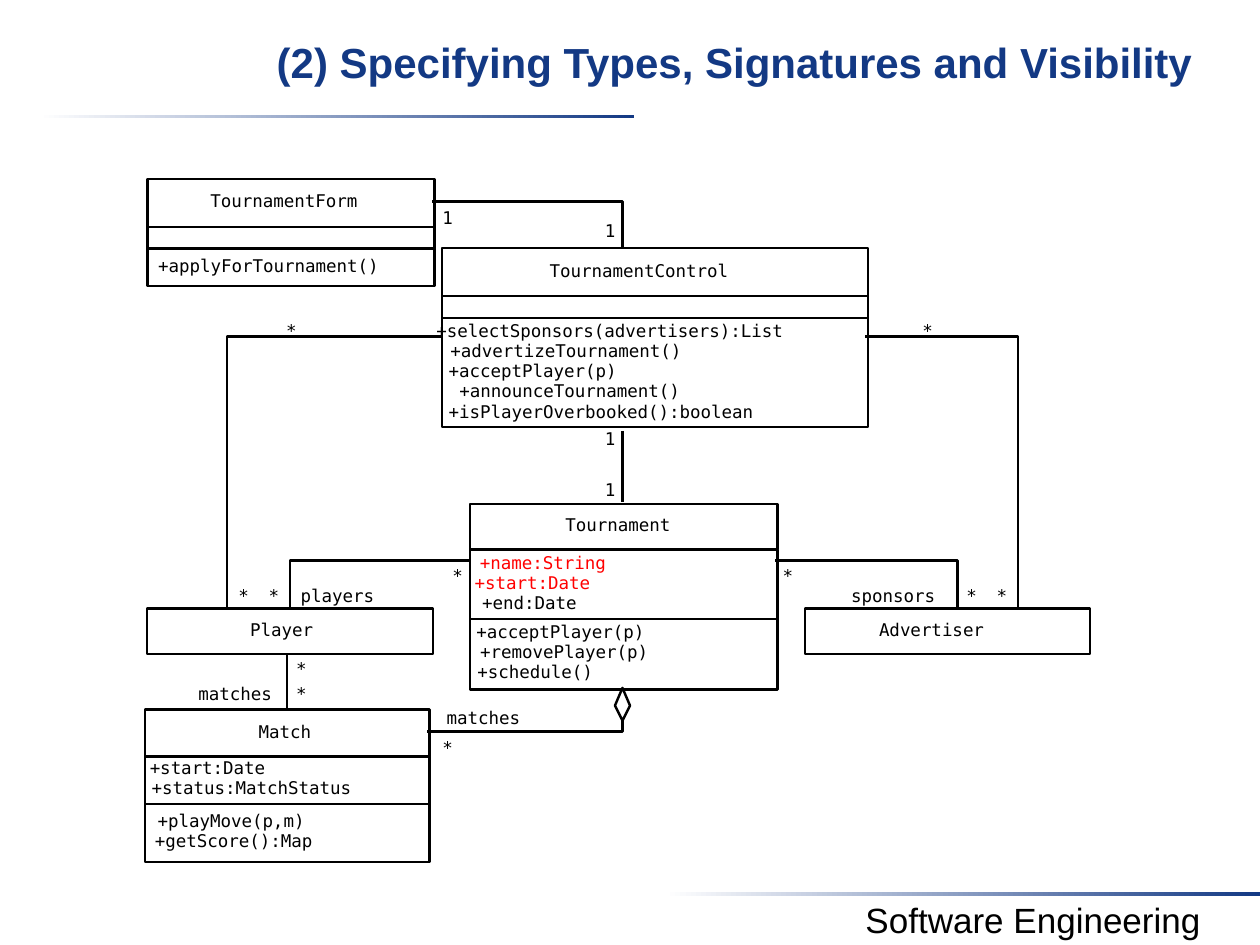
"""Builds a UML class diagram slide showing types, signatures and visibility."""
from itertools import accumulate
from lxml.etree import SubElement
from pptx import Presentation
from pptx.dml.color import RGBColor
from pptx.enum.shapes import MSO_CONNECTOR, MSO_SHAPE
from pptx.enum.text import MSO_ANCHOR, MSO_AUTO_SIZE, PP_ALIGN
from pptx.oxml.ns import qn
from pptx.util import Pt

COLORS = {"ink": "000000", "new": "FF0000", "navy": "133984", "paper": "FFFFFF"}
SANS, MONO = "Arial", "DejaVu Sans Mono"
CHAR_WIDTH, LINE_HEIGHT, LINE_STEP, STROKE = 6.1, 12.2, 11.5, 1.38

TITLE = "(2) Specifying Types, Signatures and Visibility"
FOOTER = "Software Engineering"
BARS = [(22.3, 65.5), (380.2, 509.8)]
BAR_SIZE = (339.8, 2.2)

# Each compartment: height, offset of its first line, lines as (text, left, color).
CLASSES = {
    "TournamentForm": (84.2, 102.2, 164.2, [
        (27.4, 6.5, [("TournamentForm", 119.5, "ink")]),
        (12.4, 0, []),
        (21.6, 3.6, [("+applyForTournament()", 89.3, "ink")])]),
    "TournamentControl": (252.7, 141.8, 243.4, [
        (27.4, 6.5, [("TournamentControl", 313.2, "ink")]),
        (12.4, 0, []),
        (62.6, 1.3, [("+selectSponsors(advertisers):List", 247.7, "ink"),
                     ("+advertizeTournament()", 256.3, "ink"),
                     ("+acceptPlayer(p)", 255.6, "ink"),
                     ("+announceTournament()", 261.4, "ink"),
                     ("+isPlayerOverbooked():boolean", 254.9, "ink")])]),
    "Tournament": (268.6, 288, 175.7, [
        (25.9, 5.8, [("Tournament", 322.6, "ink")]),
        (39.8, 1.3, [("+name:String", 273.6, "new"),
                     ("+start:Date", 270.7, "new"),
                     ("+end:Date", 275, "ink")]),
        (40.3, 1.3, [("+acceptPlayer(p)", 271.4, "ink"),
                     ("+removePlayer(p)", 273.6, "ink"),
                     ("+schedule()", 272.2, "ink")])]),
    "Player": (84.2, 347.8, 163.4, [(25.9, 5.8, [("Player", 142.6, "ink")])]),
    "Advertiser": (460.1, 347.8, 162.7, [(25.9, 5.8, [("Advertiser", 501.8, "ink")])]),
    "Match": (82.8, 405.4, 162.7, [
        (27, 6.5, [("Match", 147.6, "ink")]),
        (27, 0.4, [("+start:Date", 85, "ink"),
                   ("+status:MatchStatus", 85.7, "ink")]),
        (33.1, 3.6, [("+playMove(p,m)", 89.3, "ink"),
                     ("+getScore():Map", 87.8, "ink")])]),
}
ASSOCIATIONS = [
    [(247, 115.2), (355.7, 115.2), (355.7, 141.8)],
    [(129.6, 347.8), (129.6, 192.2), (252.7, 192.2)],
    [(581.8, 347.8), (581.8, 192.2), (494.6, 192.2)],
    [(165.6, 347.8), (165.6, 320.4), (268.6, 320.4)],
    [(547.2, 347.8), (547.2, 320.4), (442.8, 320.4)],
    [(244.1, 418), (355.7, 418), (355.7, 396)],
]
AGGREGATION = [(351.4, 403.2), (355.7, 393.1), (360, 403.2), (355.7, 411.8)]
LABELS = [
    ("1", 252.7, 118.1), ("1", 345.6, 126), ("1", 345.6, 244.8), ("1", 345.6, 273.6),
    ("*", 163.4, 182.9), ("*", 527, 182.9), ("*", 258.5, 322.6), ("*", 447.1, 322.6),
    ("*", 136.1, 334.1), ("*", 153.4, 334.1), ("players", 171.4, 334.1),
    ("sponsors", 486, 334.1), ("*", 552.2, 334.1), ("*", 569.5, 334.1),
    ("*", 169.2, 375.8), ("*", 169.2, 390.2), ("matches", 113, 390.2),
    ("matches", 254.9, 403.9), ("*", 252.7, 421.2),
]


def color(name):
    return RGBColor.from_string(COLORS[name])


def outline(shape):
    shape.shadow.inherit = False
    shape.line.color.rgb = color("ink")
    shape.line.width = Pt(STROKE)


def write(frame, text, font, size, shade, bold=False):
    para = frame.paragraphs[0]
    para.alignment = PP_ALIGN.CENTER
    span = para.add_run()
    span.text = text
    span.font.name, span.font.size, span.font.bold = font, Pt(size), bold
    span.font.color.rgb = color(shade)


def add_label(page, text, left, top, shade="ink"):
    box = page.shapes.add_textbox(
        Pt(left), Pt(top), Pt(CHAR_WIDTH * len(text)), Pt(LINE_HEIGHT))
    frame = box.text_frame
    frame.margin_left = frame.margin_right = frame.margin_top = frame.margin_bottom = 0
    frame.word_wrap = False
    frame.auto_size = MSO_AUTO_SIZE.SHAPE_TO_FIT_TEXT
    write(frame, text, MONO, 10, shade)


def add_class(page, left, top, width, compartments):
    tops = accumulate((height for height, _, _ in compartments), initial=top)
    boxes = []
    for box_top, (height, offset, lines) in zip(tops, compartments):
        box = page.shapes.add_shape(
            MSO_SHAPE.RECTANGLE, Pt(left), Pt(box_top), Pt(width), Pt(height))
        box.fill.background()
        outline(box)
        boxes.append(box)
        for row, (text, text_left, shade) in enumerate(lines):
            add_label(page, text, text_left, box_top + offset + row * LINE_STEP, shade)
    return boxes


def add_path(page, points, close=False):
    start, *rest = [(Pt(x), Pt(y)) for x, y in points]
    builder = page.shapes.build_freeform(*start)
    builder.add_line_segments(rest, close=close)
    shape = builder.convert_to_shape()
    outline(shape)
    if close:
        shape.fill.solid()
        shape.fill.fore_color.rgb = color("paper")
    else:
        shape.fill.background()


def add_line(page, x, top, bottom):
    line = page.shapes.add_connector(
        MSO_CONNECTOR.STRAIGHT, Pt(x), Pt(top), Pt(x), Pt(bottom))
    line.line.color.rgb = color("ink")
    line.line.width = Pt(STROKE)
    SubElement(line.element.spPr, qn("a:effectLst"))
    return line


def add_frame(page):
    for left, top in BARS:
        bar = page.shapes.add_shape(
            MSO_SHAPE.RECTANGLE, Pt(left), Pt(top), *map(Pt, BAR_SIZE))
        bar.shadow.inherit = False
        bar.line.fill.background()
        bar.fill.gradient()
        bar.fill.gradient_angle = 0
        for stop, shade in zip(bar.fill.gradient_stops, ("paper", "navy")):
            stop.color.rgb = color(shade)
    footer = page.shapes.add_textbox(Pt(460.8), Pt(509.8), Pt(259.2), Pt(31.7))
    footer.text_frame.word_wrap = True
    write(footer.text_frame, FOOTER, SANS, 20, "ink")
    title = page.shapes.title
    title.left, title.top, title.width, title.height = map(Pt, (119.5, 14.4, 600.5, 54))
    frame = title.text_frame
    frame.vertical_anchor = MSO_ANCHOR.TOP
    frame.auto_size = MSO_AUTO_SIZE.NONE
    frame.margin_top = Pt(6.5)
    write(frame, TITLE, SANS, 24, "navy", bold=True)


def main():
    deck = Presentation()
    deck.slide_width, deck.slide_height = Pt(720), Pt(540)
    page = deck.slides.add_slide(deck.slide_layouts[5])
    add_frame(page)
    classes = {name: add_class(page, *parts) for name, parts in CLASSES.items()}
    for points in ASSOCIATIONS:
        add_path(page, points)
    add_path(page, AGGREGATION, close=True)
    add_line(page, 355.7, 246.2, 286.6)
    match_line = add_line(page, 164.15, 405.4, 373.7)
    match_line.begin_connect(classes["Match"][0], 0)
    for label in LABELS:
        add_label(page, *label)
    deck.save("out.pptx")


if __name__ == "__main__":
    main()
